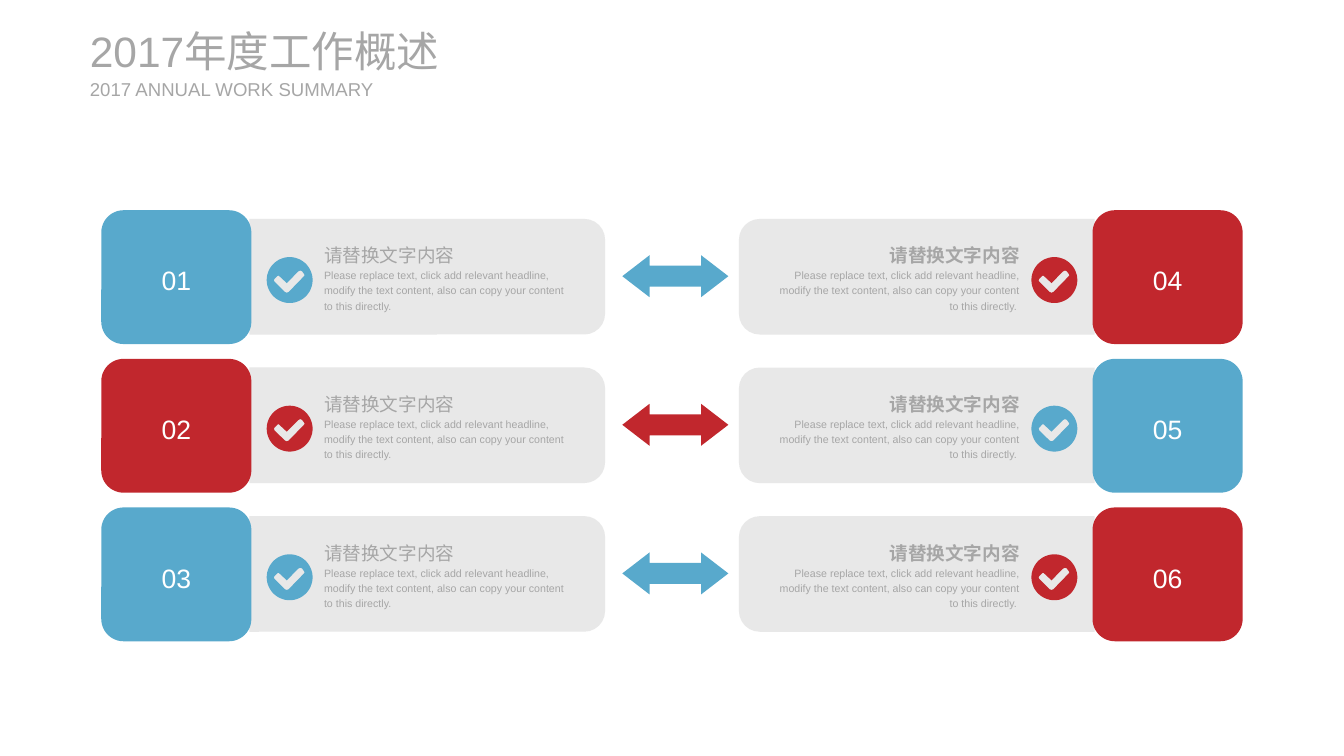
import math

from lxml import etree
from pptx import Presentation
from pptx.dml.color import RGBColor
from pptx.enum.shapes import MSO_SHAPE
from pptx.enum.text import MSO_ANCHOR, MSO_AUTO_SIZE, PP_ALIGN
from pptx.oxml.ns import qn
from pptx.util import Inches, Pt

ROUND_RECT = MSO_SHAPE.ROUNDED_RECTANGLE
HALF_ROUND = MSO_SHAPE.ROUND_2_SAME_RECTANGLE
DOUBLE_ARROW = MSO_SHAPE.LEFT_RIGHT_ARROW
MIDDLE, TOP = MSO_ANCHOR.MIDDLE, MSO_ANCHOR.TOP
LEFT, CENTER, RIGHT = PP_ALIGN.LEFT, PP_ALIGN.CENTER, PP_ALIGN.RIGHT

SLIDE_W, SLIDE_H = 14.06, 7.91
BLUE, RED, PANEL, GRAY, WHITE = "58A9CC", "C1272D", "E6E6E6", "A6A6A6", "FFFFFF"

# Grid: two mirrored columns of cards, three rows
MARGIN, CARD_W, CARD_H = 1.06, 5.27, 1.4
ROW_TOP, ROW_PITCH = 2.2, 1.555
ROW_COLORS = [(BLUE, RED), (RED, BLUE), (BLUE, RED)]

HEADING = "请替换文字内容"
BODY = ("Please replace text, click add relevant headline, modify the text content, "
        "also can copy your content to this directly.")

# Check mark in thousandths of an inch, inside its disc
DISC = 480
TICK = [(390, 175), (370, 148), (350, 140), (330, 150), (210, 272), (135, 202),
        (122, 192), (112, 198), (82, 228), (75, 242), (82, 258), (190, 365),
        (210, 373), (230, 365), (390, 200), (397, 188)]


def rgb(value):
    return RGBColor.from_string(value)


def paint(sp, color):
    sp.shadow.inherit = False
    sp.fill.solid()
    sp.fill.fore_color.rgb = rgb(color)
    sp.line.fill.background()


def add_block(s, kind, x, y, w, h, color):
    sp = s.shapes.add_shape(kind, Inches(x), Inches(y), Inches(w), Inches(h))
    paint(sp, color)
    return sp


def add_box(s, x, y, w, h):
    return s.shapes.add_textbox(Inches(x), Inches(y), Inches(w), Inches(h))


def write(sp, runs, color, align=LEFT, anchor=TOP, spacing=1.0):
    """Fill one paragraph with (text, size, bold) runs, one per line."""
    tf = sp.text_frame
    frame = {"word_wrap": True, "auto_size": MSO_AUTO_SIZE.NONE, "vertical_anchor": anchor,
             "margin_left": 0, "margin_top": 0, "margin_right": 0, "margin_bottom": 0}
    for name, value in frame.items():
        setattr(tf, name, value)
    p = tf.paragraphs[0]
    p.alignment, p.line_spacing = align, spacing
    for i, (text, size, bold) in enumerate(runs):
        if i:
            p.add_line_break()
        r = p.add_run()
        r.text = text
        for name, value in {"name": "Arial", "size": Pt(size), "bold": bold}.items():
            setattr(r.font, name, value)
        r.font.color.rgb = rgb(color)


def add_check(s, x, y, color):
    """Disc with a check mark cut out of it."""
    radius = DISC / 2
    rim = [(radius + radius * math.cos(math.radians(a)),
            radius + radius * math.sin(math.radians(a))) for a in range(0, 360, 6)]
    fb = s.shapes.build_freeform(*rim[0], scale=Inches(1) / 1000)
    fb.add_line_segments(rim[1:], close=True)
    fb.move_to(*TICK[0])
    fb.add_line_segments(TICK[1:], close=True)
    paint(fb.convert_to_shape(Inches(x), Inches(y)), color)


def add_card(s, x, y, w, h, number, color, mirrored):
    """Numbered tile on the outer side, panel with text on the inner side."""
    def place(inset, width):
        return x + w - inset - width if mirrored else x + inset

    # Panel, rounded on the inner side only, turned a quarter
    panel_w, panel_h = 3.72, 1.21
    panel_x, panel_y = place(w - panel_w, panel_w), y + 0.09
    panel = add_block(s, HALF_ROUND, panel_x + (panel_w - panel_h) / 2,
                      panel_y + (panel_h - panel_w) / 2, panel_h, panel_w, PANEL)
    panel.adjustments[0] = 0.18
    panel.rotation = 270 if mirrored else 90
    clr = panel.fill._xPr.find(qn("a:solidFill"))[0]
    etree.SubElement(clr, qn("a:alpha")).set("val", "90000")

    # Check mark and text
    add_check(s, place(1.73, DISC / 1000), y + 0.49, color)
    body = BODY + " " if mirrored else BODY
    write(add_box(s, place(2.33, 2.58), y + 0.31, 2.58, 0.77),
          [(HEADING, 14, mirrored), (body, 8, False)], GRAY,
          RIGHT if mirrored else LEFT, spacing=1.2)

    # Number tile
    tile = add_block(s, ROUND_RECT, place(0, 1.57), y, 1.57, h, color)
    write(tile, [(f"{number:02d}", 20, False)], WHITE, CENTER, MIDDLE, 1.2)


def add_row(s, row, y):
    left_color, right_color = ROW_COLORS[row]
    arrow = add_block(s, DOUBLE_ARROW, 6.51, y + 0.47, 1.11, 0.44, left_color)
    arrow.adjustments[0], arrow.adjustments[1] = 0.5, 0.65
    add_card(s, MARGIN, y, CARD_W, CARD_H, row + 1, left_color, False)
    add_card(s, SLIDE_W - MARGIN - CARD_W, y, CARD_W, CARD_H,
             row + 1 + len(ROW_COLORS), right_color, True)


def add_header(s, x, y):
    title = s.shapes.title
    box = {"left": x, "top": y, "width": 4.32, "height": 0.54}
    for name, value in box.items():
        setattr(title, name, Inches(value))
    write(title, [("2017年度工作概述", 32, False)], GRAY, anchor=MIDDLE)
    write(add_box(s, x, y + 0.55, 3.07, 0.24),
          [("2017 ANNUAL WORK SUMMARY", 14, False)], GRAY, anchor=MIDDLE)


def main():
    prs = Presentation()
    prs.slide_width, prs.slide_height = Inches(SLIDE_W), Inches(SLIDE_H)
    s = prs.slides.add_slide(prs.slide_layouts[5])
    add_header(s, 0.94, 0.26)
    for row in range(len(ROW_COLORS)):
        add_row(s, row, ROW_TOP + row * ROW_PITCH)
    prs.save("out.pptx")


if __name__ == "__main__":
    main()
